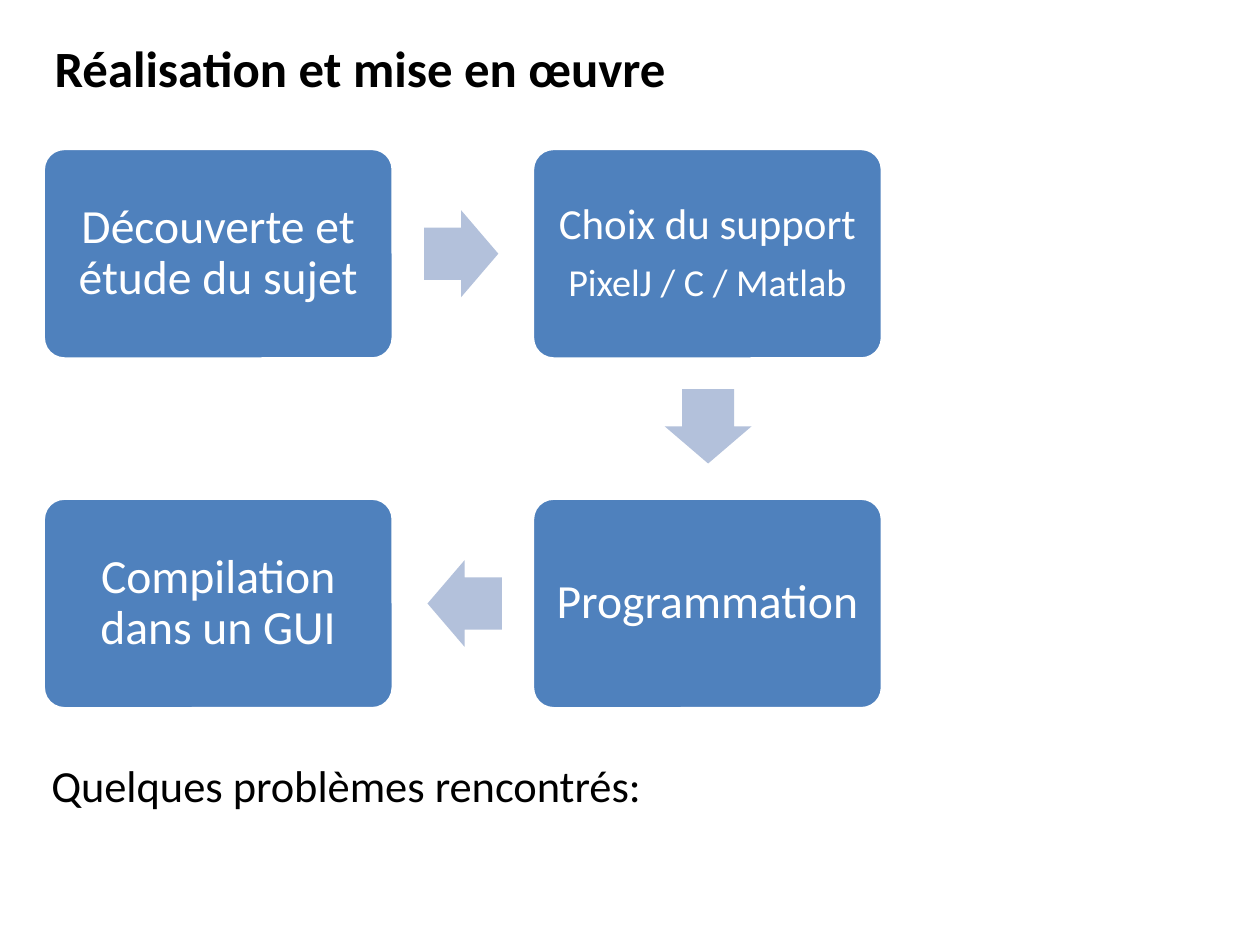
"""Builds the slide showing the four steps of the project."""
from pptx import Presentation
from pptx.dml.color import RGBColor
from pptx.enum.shapes import MSO_SHAPE
from pptx.enum.text import MSO_ANCHOR, MSO_AUTO_SIZE, PP_ALIGN
from pptx.util import Inches, Pt

ROUNDED = MSO_SHAPE.ROUNDED_RECTANGLE
ARROW = MSO_SHAPE.RIGHT_ARROW
MIDDLE = MSO_ANCHOR.MIDDLE
GROW = MSO_AUTO_SIZE.SHAPE_TO_FIT_TEXT
CENTER = PP_ALIGN.CENTER

BLACK = RGBColor(0x00, 0x00, 0x00)
WHITE = RGBColor(0xFF, 0xFF, 0xFF)
BLUE = RGBColor(0x4F, 0x81, 0xBD)
PALE_BLUE = RGBColor(0xB3, 0xC1, 0xDB)

CM_PER_INCH = 2.54
LEFT, TOP = 0.38, 1.3
BOX_W, BOX_H = 3.06, 1.84
COL_STEP, ROW_STEP = 4.28, 3.06
ARROW_W, ARROW_H = 0.65, 0.76

STEPS = [
    (0, 0, [("Découverte et étude du sujet", 30)]),
    (1, 0, [("Choix du support", 27), ("PixelJ / C / Matlab", 24)]),
    (1, 1, [("Programmation", 30)]),
    (0, 1, [("Compilation dans un GUI", 30)]),
]
ARROWS = [(3.71, 1.84, 0), (5.87, 3.35, 90), (3.74, 4.9, 180)]


class Deck:
    def __init__(self, slide, font):
        self.slide = slide
        self.font = font

    def style(self, p, size, color, bold=False):
        for r in p.runs:
            r.font.name = self.font
            r.font.size = Pt(size)
            r.font.bold = bold
            r.font.color.rgb = color

    def text(self, x, y, w, h, text, size, bold=False, wrap=True):
        sp = self.slide.shapes.add_textbox(Inches(x), Inches(y), Inches(w), Inches(h))
        tf = sp.text_frame
        tf.word_wrap = wrap
        tf.auto_size = GROW
        tf.text = text
        self.style(tf.paragraphs[0], size, BLACK, bold)

    def shape(self, kind, x, y, w, h, fill, adjustments):
        sp = self.slide.shapes.add_shape(kind, Inches(x), Inches(y), Inches(w), Inches(h))
        sp.shadow.inherit = False
        sp.fill.solid()
        sp.fill.fore_color.rgb = fill
        sp.line.fill.background()
        for i, value in enumerate(adjustments):
            sp.adjustments[i] = value
        return sp

    def step(self, col, row, lines):
        sp = self.shape(ROUNDED, LEFT + col * COL_STEP, TOP + row * ROW_STEP,
                        BOX_W, BOX_H, BLUE, [0.1])
        sp.line.color.rgb = WHITE
        sp.line.width = Pt(2)
        tf = sp.text_frame
        tf.word_wrap = True
        tf.vertical_anchor = MIDDLE
        tf.margin_left = tf.margin_right = Inches(0.11)
        tf.margin_top = tf.margin_bottom = Inches(0.11)
        tf.text = "\n".join(text for text, size in lines)
        for p, (text, size) in zip(tf.paragraphs, lines):
            p.alignment = CENTER
            p.line_spacing = 0.9
            self.style(p, size, WHITE)
        for p in tf.paragraphs[:-1]:
            p.space_after = Pt(9)

    def arrow(self, x, y, rotation):
        sp = self.shape(ARROW, x, y, ARROW_W, ARROW_H, PALE_BLUE, [0.6, 0.5])
        sp.rotation = rotation


def main():
    prs = Presentation()
    prs.slide_width = Inches(28 / CM_PER_INCH)
    prs.slide_height = Inches(21 / CM_PER_INCH)
    deck = Deck(prs.slides.add_slide(prs.slide_layouts[6]), "Calibri")
    deck.text(0.38, 0.27, 5.6, 0.65, "Réalisation et mise en œuvre", 32, bold=True, wrap=False)
    for step in STEPS:
        deck.step(*step)
    for arrow in ARROWS:
        deck.arrow(*arrow)
    deck.text(0.35, 6.58, 8.98, 0.57, "Quelques problèmes rencontrés:", 28)
    prs.save("out.pptx")


if __name__ == "__main__":
    main()
